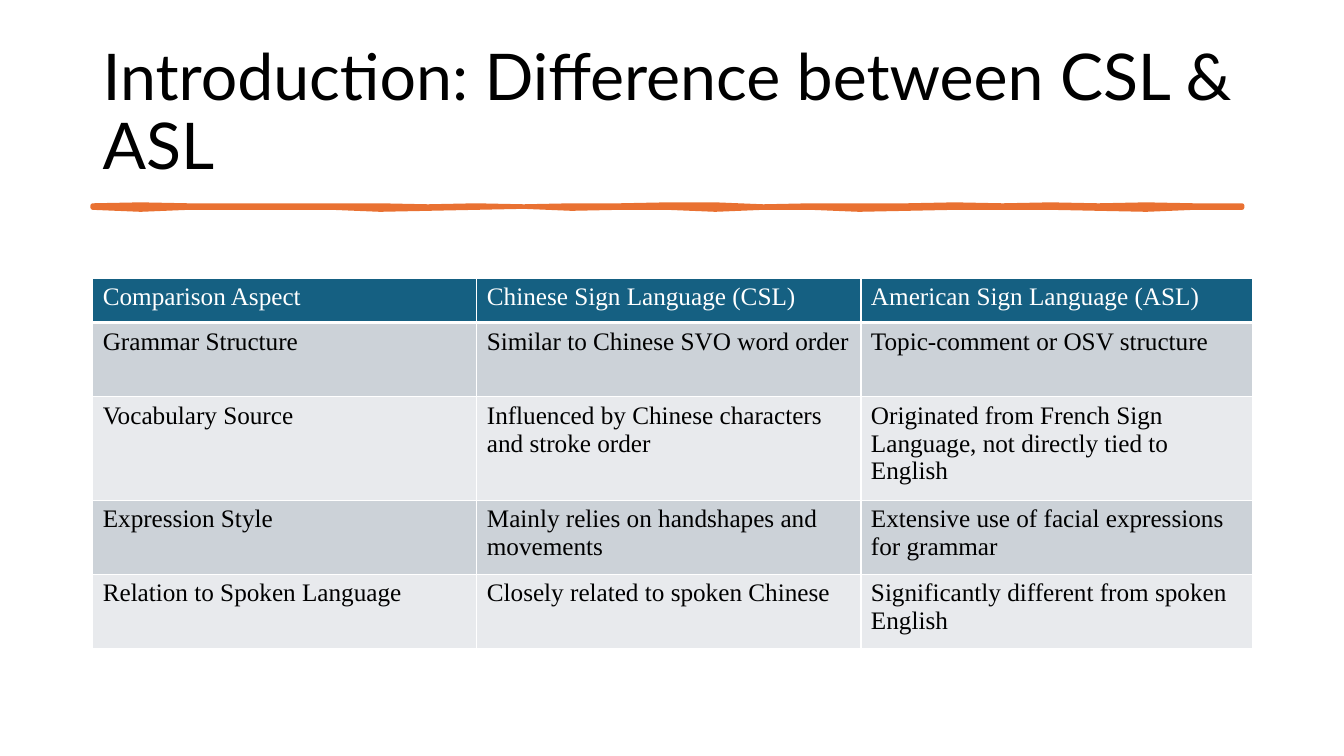
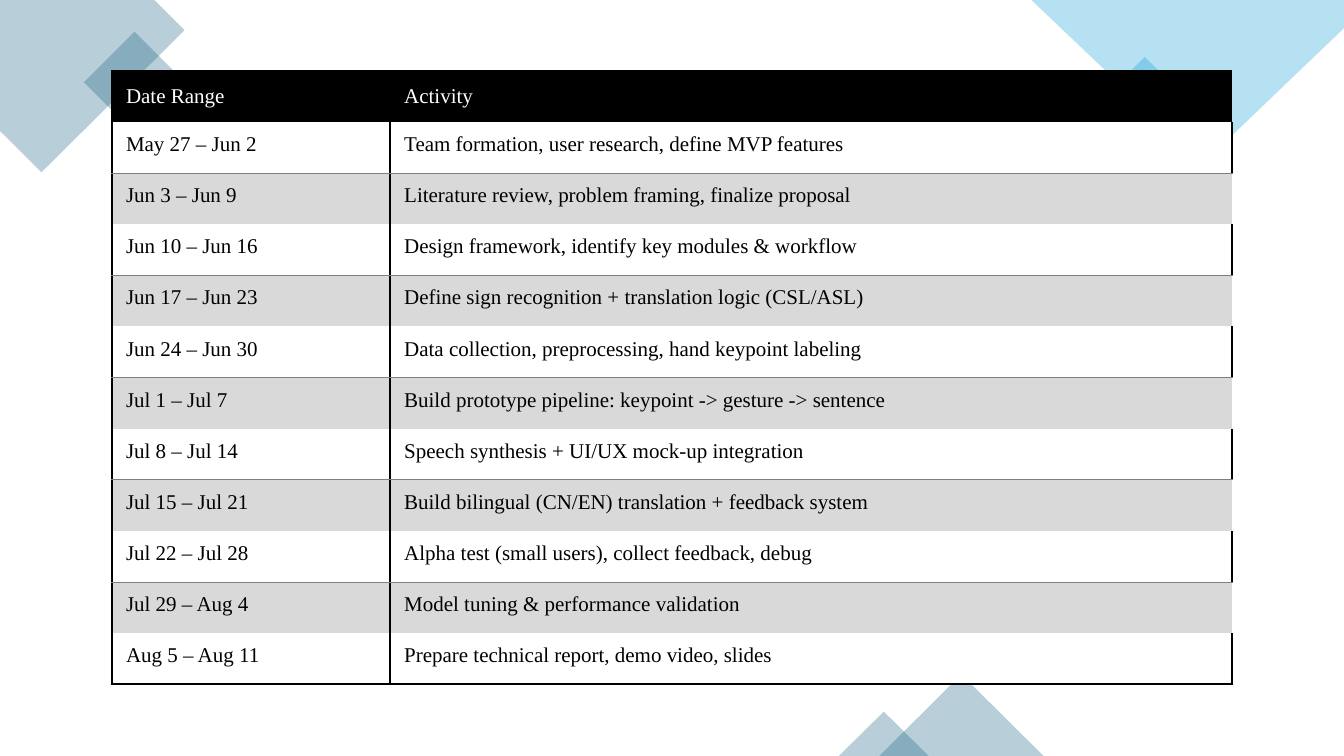
import lxml.etree
import pptx
import pptx.dml.color
import pptx.enum.shapes
import pptx.enum.text
import pptx.oxml.ns
import pptx.util

SLIDE_WIDTH = pptx.util.Inches(13.33)
SLIDE_HEIGHT = pptx.util.Inches(7.5)
COLORS = {"black": "000000", "white": "FFFFFF", "orange": "E97132",
          "teal": "156082", "sky": "0F9ED5", "band dark": "CCD2D8",
          "band light": "E8EAED", "band gray": "D9D9D9", "rule gray": "808080"}
TITLE_FONT = "Lato"
TABLE_FONT = "Times New Roman"
SHAPES = pptx.enum.shapes.MSO_SHAPE
ANCHORS = pptx.enum.text.MSO_ANCHOR

# Upper and lower edge of the brush stroke, in steps of STROKE_STEP
STROKE_STEP = 0.13
STROKE_UPPER = [0, -1, 0, 0, 0, 0, 0, 1, 0, 1, 0, 0, -1,
                -1, 1, 0, 0, 0, -1, 0, -1, 0, -1, 0, 0]
STROKE_LOWER = [2, 4, 2, 2, 2, 2, 4, 3, 2, 1, 3, 2, 2,
                4, 2, 2, 4, 3, 2, 2, 2, 3, 4, 2, 2]

COMPARISON = [
    ("Comparison Aspect", "Chinese Sign Language (CSL)", "American Sign Language (ASL)"),
    ("Grammar Structure", "Similar to Chinese SVO word order",
     "Topic-comment or OSV structure"),
    ("Vocabulary Source", "Influenced by Chinese characters and stroke order",
     "Originated from French Sign Language, not directly tied to English"),
    ("Expression Style", "Mainly relies on handshapes and movements",
     "Extensive use of facial expressions for grammar"),
    ("Relation to Spoken Language", "Closely related to spoken Chinese",
     "Significantly different from spoken English"),
]
SCHEDULE = [
    ("Date Range", "Activity"),
    ("May 27 – Jun 2", "Team formation, user research, define MVP features"),
    ("Jun 3 – Jun 9", "Literature review, problem framing, finalize proposal"),
    ("Jun 10 – Jun 16", "Design framework, identify key modules & workflow"),
    ("Jun 17 – Jun 23", "Define sign recognition + translation logic (CSL/ASL)"),
    ("Jun 24 – Jun 30", "Data collection, preprocessing, hand keypoint labeling"),
    ("Jul 1 – Jul 7", "Build prototype pipeline: keypoint -> gesture -> sentence"),
    ("Jul 8 – Jul 14", "Speech synthesis + UI/UX mock-up integration"),
    ("Jul 15 – Jul 21", "Build bilingual (CN/EN) translation + feedback system"),
    ("Jul 22 – Jul 28", "Alpha test (small users), collect feedback, debug"),
    ("Jul 29 – Aug 4", "Model tuning & performance validation"),
    ("Aug 5 – Aug 11", "Prepare technical report, demo video, slides"),
]


# Lengths as percentages of the slide
def across(percent):
    return round(SLIDE_WIDTH * percent / 100)


def down(percent):
    return round(SLIDE_HEIGHT * percent / 100)


def color(name):
    return pptx.dml.color.RGBColor.from_string(COLORS[name])


def add_element(parent, tag, **attributes):
    return lxml.etree.SubElement(parent, pptx.oxml.ns.qn(tag), **attributes)


# Text
def add_run(paragraph, text, font, size, color_name):
    run = paragraph.add_run()
    run.text = text
    run.font.name = font
    run.font.size = pptx.util.Pt(size)
    run.font.bold = False
    run.font.color.rgb = color(color_name)


def add_title(slide, text):
    box = slide.shapes.add_textbox(across(6.9), down(5.33), across(88.9), down(19.47))
    frame = box.text_frame
    frame.word_wrap = True
    frame.vertical_anchor = ANCHORS.MIDDLE
    paragraph = frame.paragraphs[0]
    paragraph.line_spacing = 0.9
    add_run(paragraph, text, TITLE_FONT, 46, "black")


# Shapes
def paint(shape, color_name, opacity=100):
    shape.shadow.inherit = False
    shape.line.fill.background()
    shape.fill.solid()
    shape.fill.fore_color.rgb = color(color_name)
    if opacity < 100:
        tint = shape.fill._xPr.find(".//" + pptx.oxml.ns.qn("a:srgbClr"))
        add_element(tint, "a:alpha", val=str(opacity * 1000))


def add_polygon(slide, points):
    corners = [(across(x), down(y)) for x, y in points]
    builder = slide.shapes.build_freeform(*corners[0])
    builder.add_line_segments(corners[1:], close=True)
    return builder.convert_to_shape()


def add_brush_stroke(slide, left, top, width):
    column = width / (len(STROKE_UPPER) - 1)
    upper, lower = (
        [(left + index * column, top + step * STROKE_STEP)
         for index, step in enumerate(edge)]
        for edge in (STROKE_UPPER, STROKE_LOWER))
    stroke = add_polygon(slide, upper + lower[::-1])
    paint(stroke, "orange")
    stroke.line.color.rgb = color("orange")
    stroke.line.width = pptx.util.Pt(3.25)
    add_element(stroke.line._get_or_add_ln(), "a:round")


def add_tilted_square(slide, center_x, center_y, side, color_name):
    size = across(side)
    square = slide.shapes.add_shape(
        SHAPES.RECTANGLE, across(center_x) - size // 2, down(center_y) - size // 2,
        size, size)
    square.rotation = 315
    paint(square, color_name, 30)


def add_corner_decoration(slide):
    paint(add_polygon(slide, [(11.48, 0), (0, 0), (0, 17.33), (3.08, 22.8), (13.73, 4)]),
          "teal", 30)
    add_tilted_square(slide, 10.01, 10.87, 5.33, "teal")
    add_tilted_square(slide, 85.18, 14.6, 5.63, "sky")
    paint(add_polygon(slide, [(100, 0), (76.74, 0), (89.5, 21.6), (100, 3.73)]),
          "sky", 30)
    for left, top, width in [(65.42, 89.2, 12.23), (62.42, 94.13, 6.68)]:
        triangle = slide.shapes.add_shape(
            SHAPES.ISOSCELES_TRIANGLE, across(left), down(top),
            across(width), down(100 - top))
        paint(triangle, "teal", 30)


# Tables
def set_borders(cell, borders):
    properties = cell._tc.get_or_add_tcPr()
    for side in "LRTB":
        color_name, width = borders.get(side, (None, 0))
        line = add_element(properties, "a:ln" + side, w=str(pptx.util.Pt(width)))
        if color_name:
            fill = add_element(line, "a:solidFill")
            add_element(fill, "a:srgbClr", val=COLORS[color_name])
        else:
            add_element(line, "a:noFill")


def add_table(slide, left, top, columns, heights, rows, size, margins, cell_style):
    """cell_style(row, column) gives the fill, the borders and the anchor."""
    table = slide.shapes.add_table(
        len(rows), len(columns), across(left), down(top),
        across(sum(columns)), down(sum(heights))).table
    table.first_row = table.horz_banding = False
    for column, width in zip(table.columns, columns):
        column.width = across(width)
    for row, height in zip(table.rows, heights):
        row.height = down(height)
    for row_index, texts in enumerate(rows):
        for column_index, text in enumerate(texts):
            cell = table.cell(row_index, column_index)
            fill, borders, anchor = cell_style(row_index, column_index)
            set_borders(cell, borders)
            cell.fill.solid()
            cell.fill.fore_color.rgb = color(fill)
            cell.vertical_anchor = anchor
            (cell.margin_left, cell.margin_top, cell.margin_right,
             cell.margin_bottom) = map(pptx.util.Inches, margins)
            add_run(cell.text_frame.paragraphs[0], text, TABLE_FONT, size,
                    "black" if row_index else "white")


def comparison_style(row, column):
    borders = dict.fromkeys("LRTB", ("white", 1))
    if row == 0:
        borders["B"] = ("white", 3)
        return "teal", borders, ANCHORS.TOP
    if row == 1:
        borders["T"] = ("white", 3)
    return ("band dark" if row % 2 else "band light"), borders, ANCHORS.TOP


def schedule_style(row, column):
    frame, rule = ("black", 1.5), ("rule gray", 0.5)
    if row == 0:
        borders = {"T": frame, "L": frame} if column == 0 else {"T": frame}
        return "black", borders, ANCHORS.MIDDLE
    if row % 2 == 0:
        borders = {"L": frame, "T": rule}
        if column == 0:
            borders["R"] = frame
        return "band gray", borders, ANCHORS.TOP
    last = row == len(SCHEDULE) - 1
    return "white", {"L": frame, "R": frame, "B": frame if last else rule}, ANCHORS.TOP


# Slides
def add_slide(presentation):
    slide = presentation.slides.add_slide(presentation.slide_layouts[6])
    slide.background.fill.solid()
    slide.background.fill.fore_color.rgb = color("white")
    return slide


def build_comparison(presentation):
    slide = add_slide(presentation)
    add_title(slide, "Introduction: Difference between CSL & ASL")
    add_brush_stroke(slide, 6.9, 27.2, 85.52)
    add_table(slide, 6.9, 36.8, [28.58, 28.58, 29.11], [5.87, 9.8, 13.73, 9.8, 9.8],
              COMPARISON, 18, (0.1, 0.05, 0.1, 0.05), comparison_style)


def build_schedule(presentation):
    slide = add_slide(presentation)
    add_corner_decoration(slide)
    add_table(slide, 8.33, 9.33, [20.7, 62.64], [6.77] * len(SCHEDULE),
              SCHEDULE, 15, (0.14, 0.11, 0.11, 0.11), schedule_style)


def main():
    presentation = pptx.Presentation()
    presentation.slide_width = SLIDE_WIDTH
    presentation.slide_height = SLIDE_HEIGHT
    build_comparison(presentation)
    build_schedule(presentation)
    presentation.save("out.pptx")


if __name__ == "__main__":
    main()
